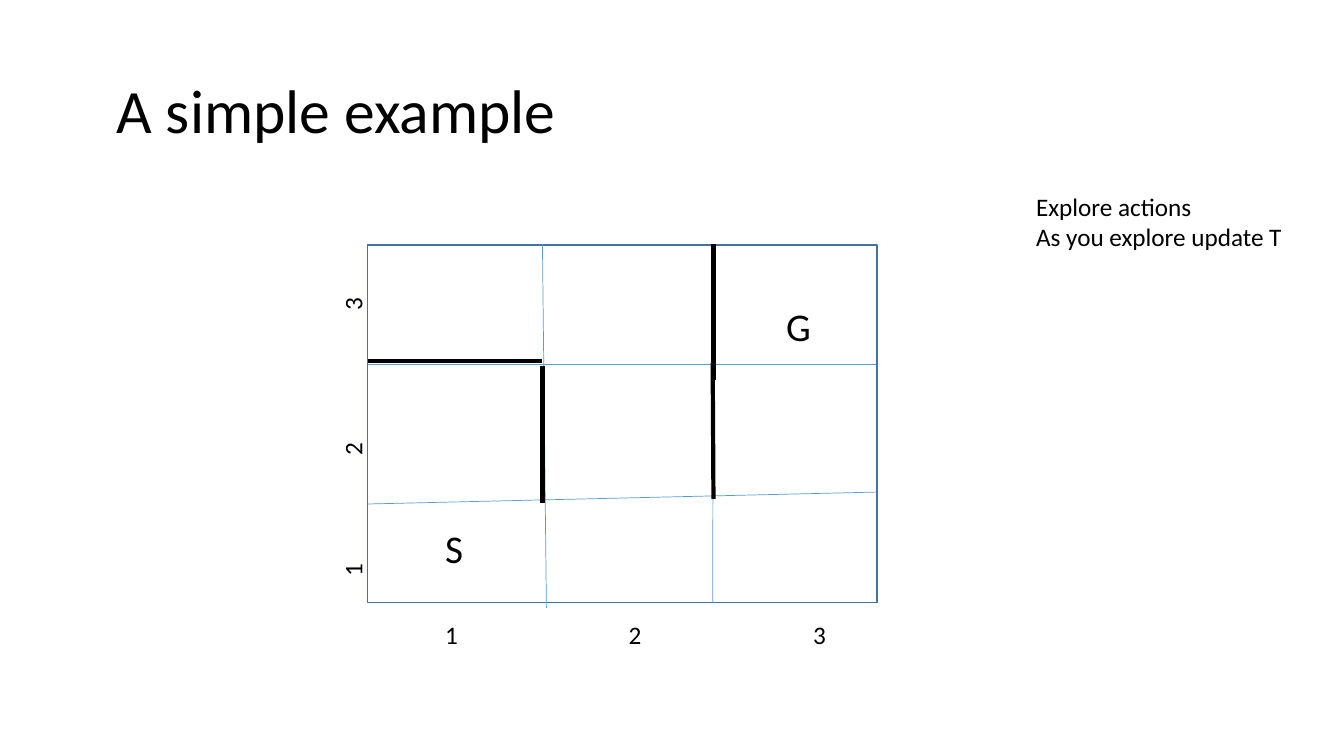
from lxml import etree
from pptx import Presentation
from pptx import util as u
from pptx.dml.color import RGBColor
from pptx.enum import shapes, text
from pptx.oxml import ns

HUES = {"ink": "000000", "edge": "43739E", "grid": "5B9BD5"}


class Board:
    """Holds the text style and the current slide."""

    def __init__(self, slide, face="Calibri"):
        self.slide = slide
        self.face = face

    def hue(self, name):
        return RGBColor.from_string(HUES[name])

    def put(self, item, marks):
        for key, val in marks.items():
            setattr(item, key, val)

    def say(self, frame, lines, size, marks):
        self.put(frame, marks)
        frame.text = "\n".join(lines)
        for para in frame.paragraphs:
            para.alignment = text.PP_ALIGN.LEFT
            for run in para.runs:
                self.put(run.font, {"name": self.face, "size": u.Pt(size)})
                run.font.color.rgb = self.hue("ink")

    def title(self, words, x, y, w, h):
        head = self.slide.shapes.title
        self.put(head, {"left": u.Cm(x), "top": u.Cm(y),
                        "width": u.Cm(w), "height": u.Cm(h)})
        self.say(head.text_frame, [words], 44, {
            "vertical_anchor": text.MSO_ANCHOR.MIDDLE,
            "auto_size": text.MSO_AUTO_SIZE.NONE, "word_wrap": True})
        head.text_frame.paragraphs[0].line_spacing = 0.9

    def frame(self, x, y, w, h):
        box = self.slide.shapes.add_shape(
            shapes.MSO_SHAPE.RECTANGLE, *map(u.Cm, (x, y, w, h)))
        box.shadow.inherit = False
        box.fill.background()
        self.put(box.line, {"width": u.Pt(1)})
        box.line.color.rgb = self.hue("edge")

    def line(self, ends, name, width):
        bar = self.slide.shapes.add_connector(
            shapes.MSO_CONNECTOR.STRAIGHT, *map(u.Cm, ends))
        self.put(bar.line, {"width": u.Pt(width)})
        bar.line.color.rgb = self.hue(name)
        etree.SubElement(bar.element.spPr, ns.qn("a:effectLst"))

    def label(self, lines, x, y, w, h, size=18, wrap=False):
        box = self.slide.shapes.add_textbox(*map(u.Cm, (x, y, w, h)))
        self.say(box.text_frame, lines, size, {
            "word_wrap": wrap,
            "auto_size": text.MSO_AUTO_SIZE.SHAPE_TO_FIT_TEXT})
        return box

    def axis(self, stops, x, y, w, h, turn=0):
        box = self.label(["1\t2\t3"], x, y, w, h, wrap=True)
        box.rotation = turn
        props = box.element.find(".//" + ns.qn("a:pPr"))
        tabs = etree.SubElement(props, ns.qn("a:tabLst"))
        for stop in stops:
            etree.SubElement(tabs, ns.qn("a:tab"),
                             pos=str(int(u.Cm(stop))), algn="l")


def main():
    deck = Presentation()
    deck.slide_width, deck.slide_height = u.Cm(33.87), u.Cm(19.05)
    board = Board(deck.slides.add_slide(deck.slide_layouts[5]))
    board.title(" A simple example", 2.33, 1.02, 29.21, 3.68)
    board.frame(9.27, 6.17, 12.83, 9.02)

    grid = [(13.67, 6.15, 13.77, 15.32), (17.98, 6.17, 17.96, 15.19),
            (9.27, 9.19, 22.07, 9.19), (9.27, 12.7, 22.07, 12.4)]
    walls = [(9.27, 9.09, 13.67, 9.09), (13.67, 9.22, 13.67, 12.67),
             (17.96, 9.14, 17.98, 12.57), (17.98, 6.15, 17.98, 9.58)]
    for group, name, width in ((grid, "grid", 0.5), (walls, "ink", 3)):
        for ends in group:
            board.line(ends, name, width)

    board.label(["S"], 10.97, 13.08, 0.97, 1.45, 28)
    board.label(["G"], 19.56, 7.49, 1.14, 1.45, 28)
    board.axis((4.62, 9.27), 10.97, 15.47, 10.31, 1.02)
    board.axis((3.05, 6.7), 5.05, 10.44, 7.67, 1.02, 270)
    board.label(["Explore actions", "As you explore update T"],
                25.86, 4.7, 6.78, 1.8)
    deck.save("out.pptx")


if __name__ == "__main__":
    main()
